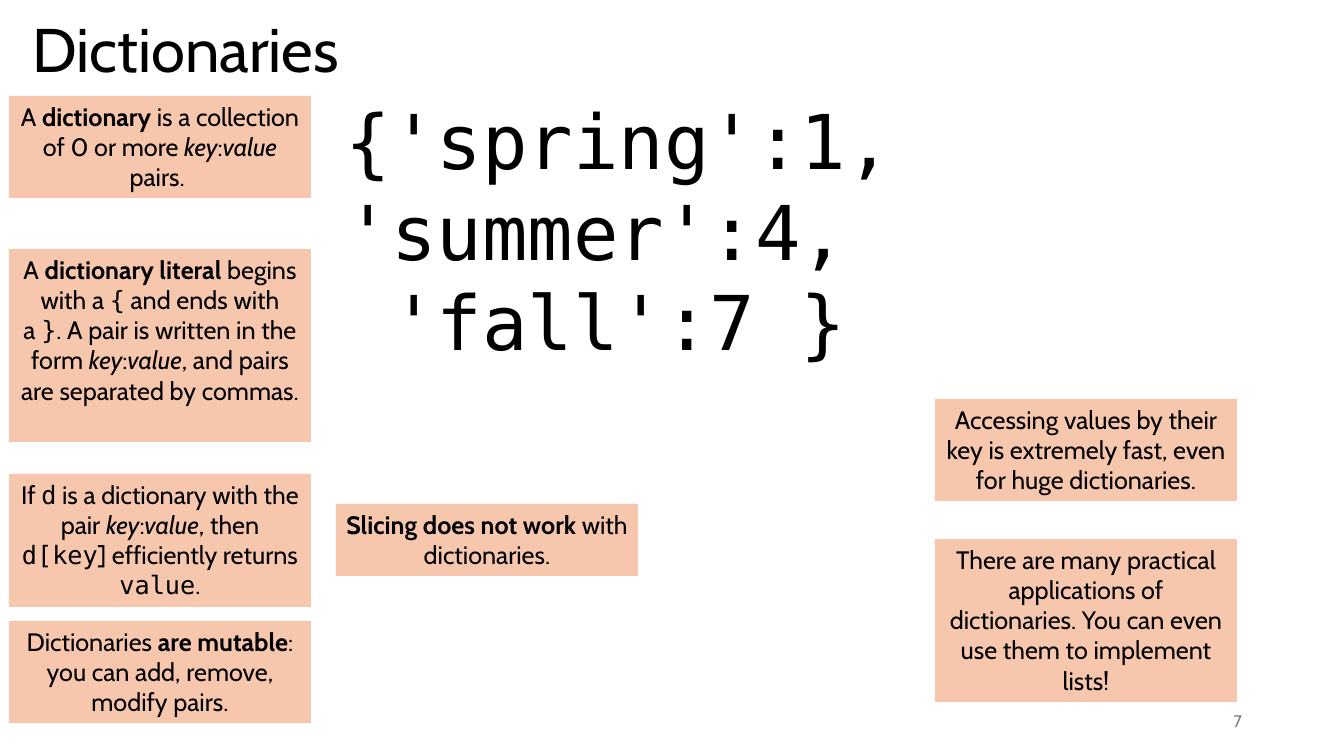
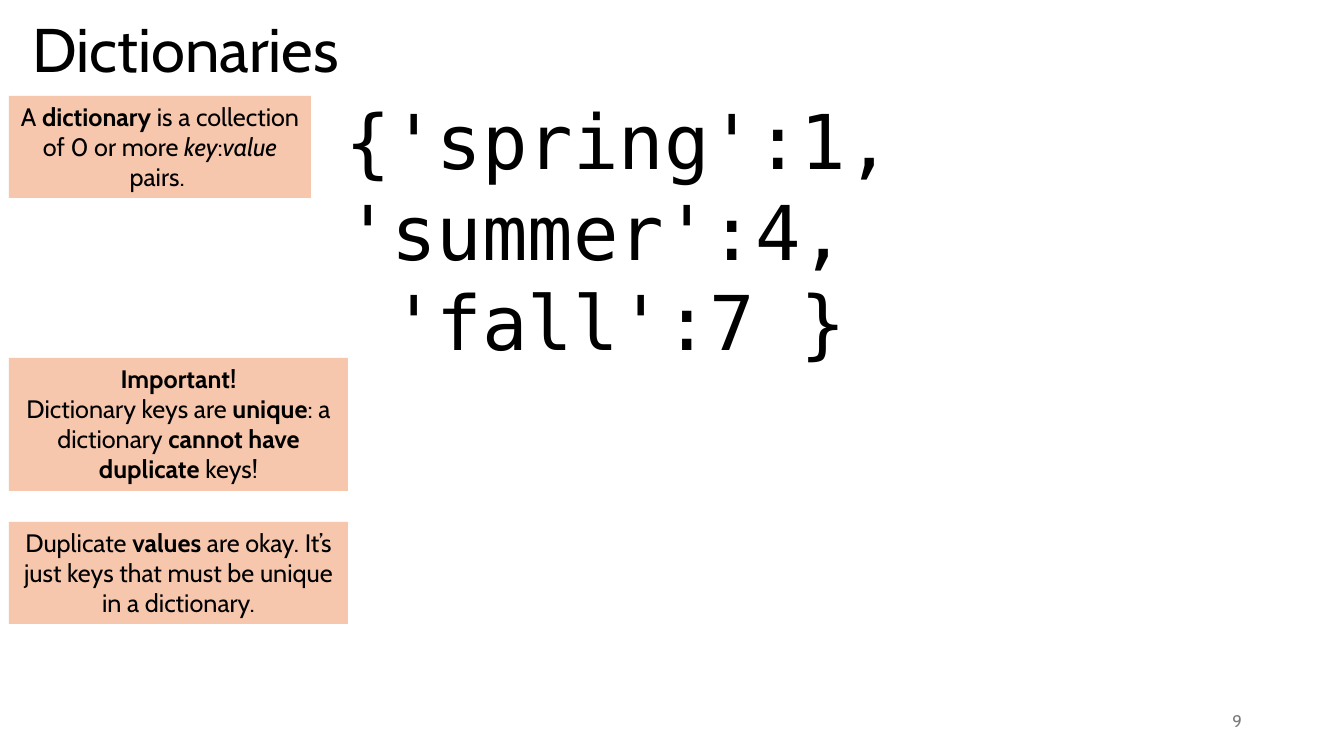
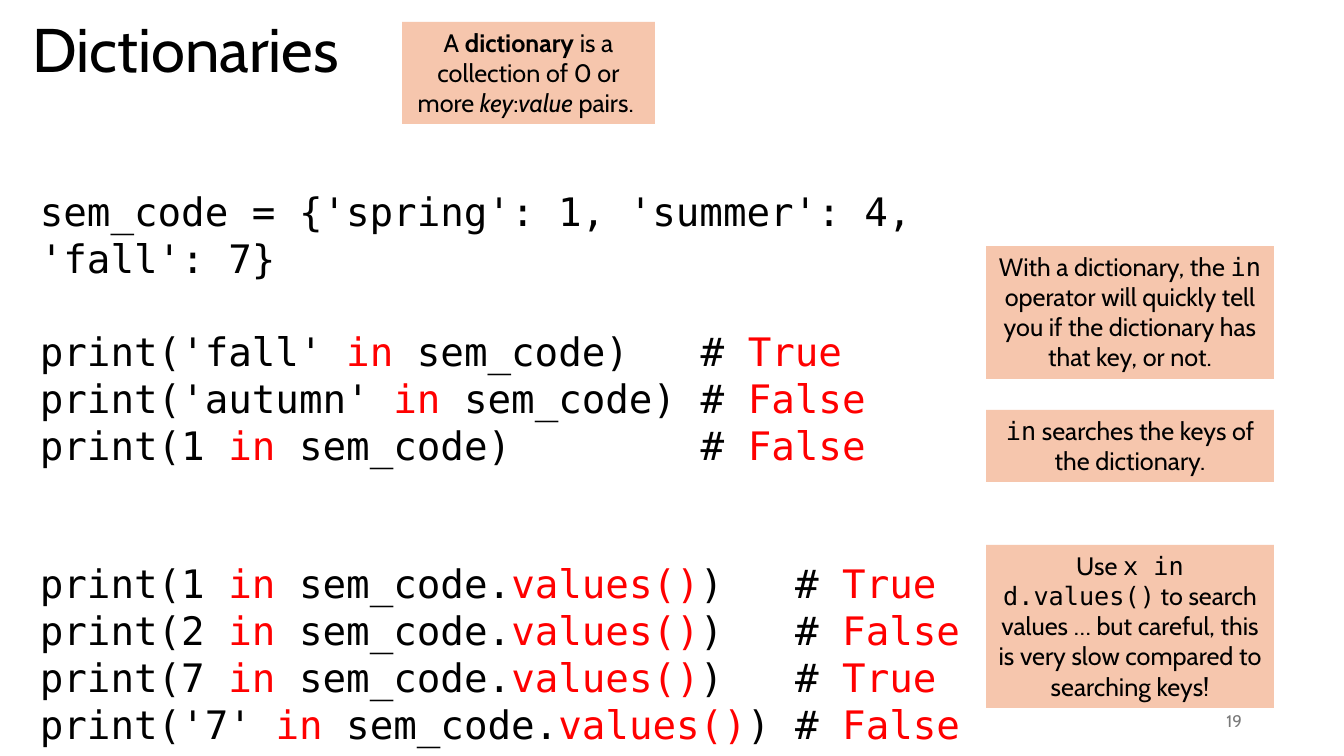
"""Three slides on Python dictionaries, with notes beside code."""
from pptx import Presentation
from pptx.dml.color import RGBColor
from pptx.enum.shapes import MSO_SHAPE as Shape
from pptx.enum.text import MSO_ANCHOR as Anchor, MSO_AUTO_SIZE as Fit, PP_ALIGN as Align
from pptx.oxml.ns import qn
from pptx.util import Pt
from lxml.etree import SubElement

PX = 914400 / 100.8
SANS, MONO = "Cabin", "DejaVu Sans Mono"
BLACK, RED, GRAY, PEACH = "000000", "FF0000", "797979", "F6C6AD"
TITLE = "Dictionaries"
LEFT, MID, RIGHT, SIDE = 9, 336, 935, 986
WIDE, BROAD, SLIM, SMALL = 302, 339, 288, 253
CHAR = 23.6

WHAT = [("A ", ""), ("dictionary", "b"), (" is a collection of 0 or more ", ""),
        ("key", "i"), (":", ""), ("value", "i"), (" pairs. ", "")]
FORM = [("A ", ""), ("dictionary literal", "b"), (" begins with a ", ""), ("{", "m"),
        (" and ends with a ", ""), ("}", "m"), (". A pair is written in the form ", ""),
        ("key", "i"), (":", ""), ("value", "i"), (", and pairs are separated by commas.", "")]
GET = [("If ", ""), ("d", "m"), (" is a dictionary with the pair ", ""), ("key", "i"),
       (":", ""), ("value", "i"), (", then ", ""), ("d[key", "m"),
       ("] efficiently returns ", ""), ("value", "m"), (".", "")]
EDIT = [("Dictionaries ", ""), ("are mutable", "b"),
        (": you can add, remove, modify pairs.", "")]
SLICE = [("Slicing does not work ", "b"), ("with dictionaries.", "")]
FAST = [("Accessing values by their key is extremely fast, even for huge dictionaries.", "")]
USES = [("There are many practical applications of dictionaries. "
         "You can even use them to implement lists!", "")]
UNIQUE = [("Important!\n", "b"), ("Dictionary keys are ", ""), ("unique", "b"),
          (": a dictionary ", ""), ("cannot have duplicate ", "b"), ("keys!", "")]
TWICE = [("Duplicate ", ""), ("values", "b"),
         (" are okay. It’s just keys that must be unique in a dictionary.", "")]
TELL = [("With a dictionary, the ", ""), ("in", "m"),
        (" operator will quickly tell you if the dictionary has that key, or not.", "")]
KEYS = [("in", "m"), (" searches the keys of the dictionary.", "")]
SLOW = [("Use ", ""), ("x in d.values()", "m"),
        (" to search values … but careful, this is very slow compared to searching keys!", "")]

PAIRS = "{'spring':1, 'summer':4,\n 'fall':7 }"
SETUP = "sem_code = {'spring': 1, 'summer': 4, 'fall': 7}"
TESTS = [
    {"tail": "", "col": 28, "gap": 33,
     "rows": [("'fall'", "True"), ("'autumn'", "False"), ("1", "False")]},
    {"tail": "values()", "col": 32, "gap": 65,
     "rows": [("1", "True"), ("2", "False"), ("7", "True"), ("'7'", "False")]},
]

SLIDES = [
    {"page": "7", "code": "pairs", "notes": [
        (LEFT, 96, WIDE, 3, WHAT), (LEFT, 249, WIDE, 6, FORM),
        (LEFT, 474, WIDE, 4, GET), (LEFT, 621, WIDE, 3, EDIT),
        (MID, 504, WIDE, 2, SLICE), (RIGHT, 399, WIDE, 3, FAST),
        (RIGHT, 539, WIDE, 5, USES)]},
    {"page": "9", "code": "pairs", "notes": [
        (LEFT, 96, WIDE, 3, WHAT), (LEFT, 358, BROAD, 4, UNIQUE),
        (LEFT, 522, BROAD, 3, TWICE)]},
    {"page": "19", "code": "tests", "notes": [
        (402, 22, SMALL, 3, WHAT), (SIDE, 246, SLIM, 4, TELL),
        (SIDE, 410, SLIM, 2, KEYS), (SIDE, 545, SLIM, 5, SLOW)]},
]


def emu(*sizes):
    return [round(n * PX) for n in sizes]


def paint(target, tone):
    target.rgb = RGBColor.from_string(tone)


def write(para, runs, size, tone=BLACK):
    for text, style in runs:
        for k, part in enumerate(text.split("\n")):
            if k:
                para.add_line_break()
            if not part:
                continue
            run = para.add_run()
            run.text = part
            font = run.font
            font.size = Pt(size)
            font.name = MONO if "m" in style else SANS
            font.bold = "b" in style
            font.italic = "i" in style
            paint(font.color, RED if "r" in style else tone)


def add_box(slide, *spot):
    frame = slide.shapes.add_textbox(*emu(*spot)).text_frame
    frame.word_wrap = True
    return frame


def add_title(slide):
    title = slide.shapes.title
    title.left, title.top, title.width, title.height = emu(22, -20, 364, 146)
    frame = title.text_frame
    frame.auto_size = Fit.NONE
    frame.vertical_anchor = Anchor.MIDDLE
    para = frame.paragraphs[0]
    para.alignment = Align.LEFT
    para.line_spacing = 0.9
    write(para, [(TITLE, "")], 44)


def add_page(slide, page):
    frame = add_box(slide, 950, 701, 302, 40)
    frame.vertical_anchor = Anchor.MIDDLE
    para = frame.paragraphs[0]
    para.alignment = Align.RIGHT
    write(para, [(page, "")], 12, GRAY)


def add_note(slide, left, top, width, lines, runs):
    high = round(11 + 30.4 * lines)
    note = slide.shapes.add_shape(Shape.RECTANGLE, *emu(left, top, width, high))
    note.shadow.inherit = False
    note.fill.solid()
    paint(note.fill.fore_color, PEACH)
    note.line.fill.background()
    frame = note.text_frame
    frame.word_wrap = True
    frame.vertical_anchor = Anchor.TOP
    para = frame.paragraphs[0]
    para.alignment = Align.CENTER
    write(para, runs, 18)


def add_pairs(slide):
    frame = add_box(slide, MID, 89, 1030, 194)
    write(frame.paragraphs[0], [(PAIRS, "m")], 54)


def add_tests(slide):
    frame = add_box(slide, 30, 182, 1063, 532)
    write(frame.paragraphs[0], [(SETUP, "m")], 28)
    for group in TESTS:
        tail = group["tail"]
        for k, (item, answer) in enumerate(group["rows"]):
            para = frame.add_paragraph()
            para.space_before = Pt(0 if k else group["gap"])
            tabs = SubElement(para._p.get_or_add_pPr(), qn("a:tabLst"))
            stop = emu(group["col"] * CHAR)[0]
            SubElement(tabs, qn("a:tab"), pos=str(stop), algn="l")
            name = "sem_code." if tail else "sem_code"
            write(para, [(f"print({item} ", "m"), ("in ", "mr"), (name, "m"),
                         (tail, "mr"), (")\t# ", "m"), (answer, "mr")], 28)


def main():
    deck = Presentation()
    deck.slide_width, deck.slide_height = emu(1344, 756)
    code = {"pairs": add_pairs, "tests": add_tests}
    for data in SLIDES:
        slide = deck.slides.add_slide(deck.slide_layouts[5])
        add_page(slide, data["page"])
        add_title(slide)
        code[data["code"]](slide)
        for note in data["notes"]:
            add_note(slide, *note)
    deck.save("out.pptx")


if __name__ == "__main__":
    main()
